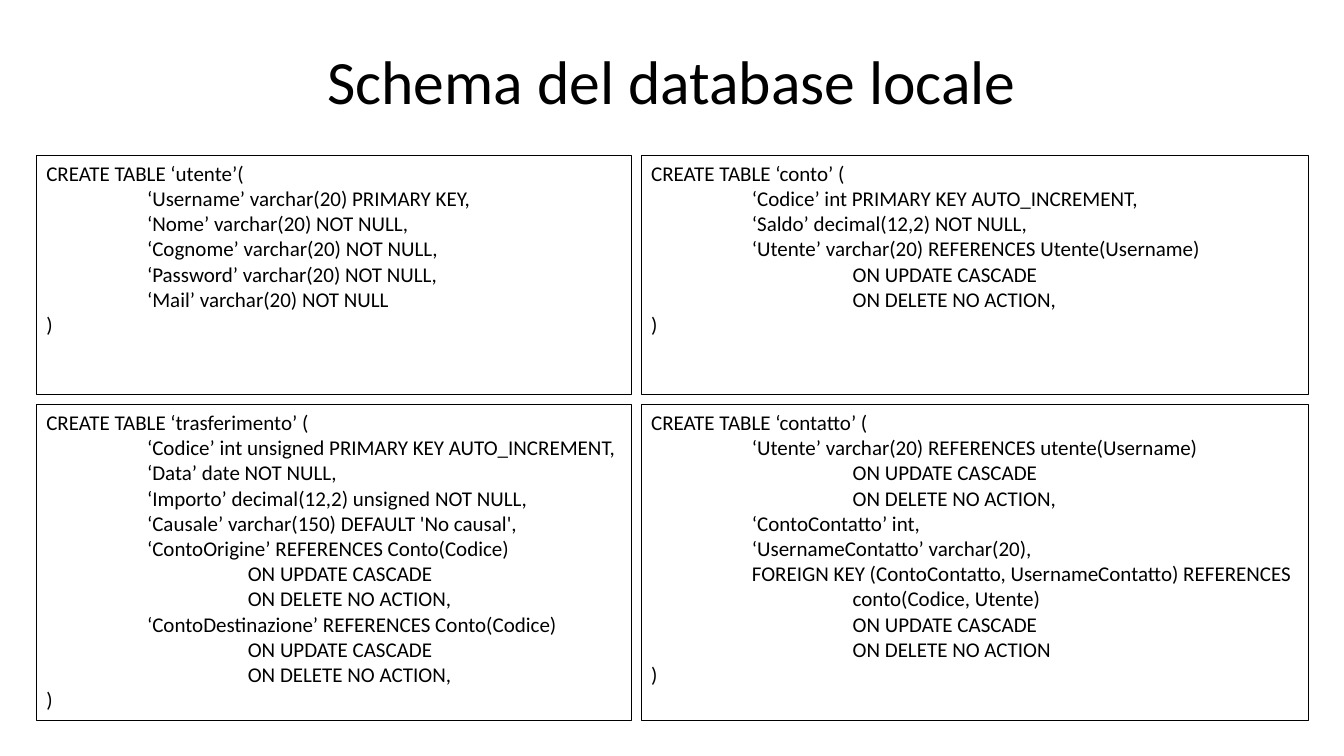
from dataclasses import dataclass

from pptx import Presentation
from pptx.dml.color import RGBColor
from pptx.enum.shapes import MSO_SHAPE
from pptx.enum.text import MSO_ANCHOR, PP_ALIGN
from pptx.util import Pt

TITLE = "Schema del database locale"

# Each statement is a list of (indent level, text); rows and columns follow the page.
CASCADE = [(2, "ON UPDATE CASCADE"), (2, "ON DELETE NO ACTION,")]

UTENTE = [
    (0, "CREATE TABLE ‘utente’("),
    (1, "‘Username’ varchar(20) PRIMARY KEY,"),
    (1, "‘Nome’ varchar(20) NOT NULL,"),
    (1, "‘Cognome’ varchar(20) NOT NULL,"),
    (1, "‘Password’ varchar(20) NOT NULL,"),
    (1, "‘Mail’ varchar(20) NOT NULL"),
    (0, ")"),
]
CONTO = [
    (0, "CREATE TABLE ‘conto’ ("),
    (1, "‘Codice’ int PRIMARY KEY AUTO_INCREMENT,"),
    (1, "‘Saldo’ decimal(12,2) NOT NULL,"),
    (1, "‘Utente’ varchar(20) REFERENCES Utente(Username)"),
    *CASCADE,
    (0, ")"),
]
TRASFERIMENTO = [
    (0, "CREATE TABLE ‘trasferimento’ ("),
    (1, "‘Codice’ int unsigned PRIMARY KEY AUTO_INCREMENT,"),
    (1, "‘Data’ date NOT NULL,"),
    (1, "‘Importo’ decimal(12,2) unsigned NOT NULL,"),
    (1, "‘Causale’ varchar(150) DEFAULT 'No causal',"),
    (1, "‘ContoOrigine’ REFERENCES Conto(Codice)"),
    *CASCADE,
    (1, "‘ContoDestinazione’ REFERENCES Conto(Codice)"),
    *CASCADE,
    (0, ")"),
]
CONTATTO = [
    (0, "CREATE TABLE ‘contatto’ ("),
    (1, "‘Utente’ varchar(20) REFERENCES utente(Username)"),
    *CASCADE,
    (1, "‘ContoContatto’ int,"),
    (1, "‘UsernameContatto’ varchar(20),"),
    (1, "FOREIGN KEY (ContoContatto, UsernameContatto) REFERENCES"),
    (2, "conto(Codice, Utente)"),
    (2, "ON UPDATE CASCADE"),
    (2, "ON DELETE NO ACTION"),
    (0, ")"),
]
GRID = [[UTENTE, CONTO], [TRASFERIMENTO, CONTATTO]]

PAGE_WIDTH, PAGE_HEIGHT = 960, 540
TITLE_BOX = (66, 29, 828, 63)
GRID_LEFT, GRID_TOP, GAP = 26, 111, 7.2
COLUMN_WIDTHS = (424.8, 476.6)
ROW_HEIGHTS = (170.8, 225.4)
INDENT = 72


@dataclass(frozen=True)
class Theme:
    font: str = "Calibri"
    ink: RGBColor = RGBColor(0, 0, 0)
    title_size: int = 44
    code_size: int = 15
    border: float = 0.75


THEME = Theme()


def format_runs(para, size):
    for span in para.runs:
        span.font.name = THEME.font
        span.font.size = Pt(size)
        span.font.color.rgb = THEME.ink


def add_title(page):
    title = page.shapes.title
    title.left, title.top, title.width, title.height = map(Pt, TITLE_BOX)
    title.text_frame.text = TITLE
    title.text_frame.vertical_anchor = MSO_ANCHOR.MIDDLE
    para = title.text_frame.paragraphs[0]
    para.alignment = PP_ALIGN.CENTER
    para.line_spacing = 0.9
    format_runs(para, THEME.title_size)


def add_statement(page, statement, left, top, width, height):
    box = page.shapes.add_shape(
        MSO_SHAPE.RECTANGLE, Pt(left), Pt(top), Pt(width), Pt(height)
    )
    box.shadow.inherit = False
    box.fill.background()
    box.line.color.rgb = THEME.ink
    box.line.width = Pt(THEME.border)
    frame = box.text_frame
    frame.word_wrap = True
    frame.vertical_anchor = MSO_ANCHOR.TOP
    frame.text = "\n".join(text for _, text in statement)
    for para, (level, _) in zip(frame.paragraphs, statement):
        para.alignment = PP_ALIGN.LEFT
        para._p.get_or_add_pPr().set("marL", str(Pt(level * INDENT)))
        format_runs(para, THEME.code_size)


def main():
    deck = Presentation()
    deck.slide_width, deck.slide_height = Pt(PAGE_WIDTH), Pt(PAGE_HEIGHT)
    page = deck.slides.add_slide(deck.slide_layouts[5])
    add_title(page)
    top = GRID_TOP
    for row, height in zip(GRID, ROW_HEIGHTS):
        left = GRID_LEFT
        for statement, width in zip(row, COLUMN_WIDTHS):
            add_statement(page, statement, left, top, width, height)
            left += width + GAP
        top += height + GAP
    deck.save("out.pptx")


if __name__ == "__main__":
    main()
